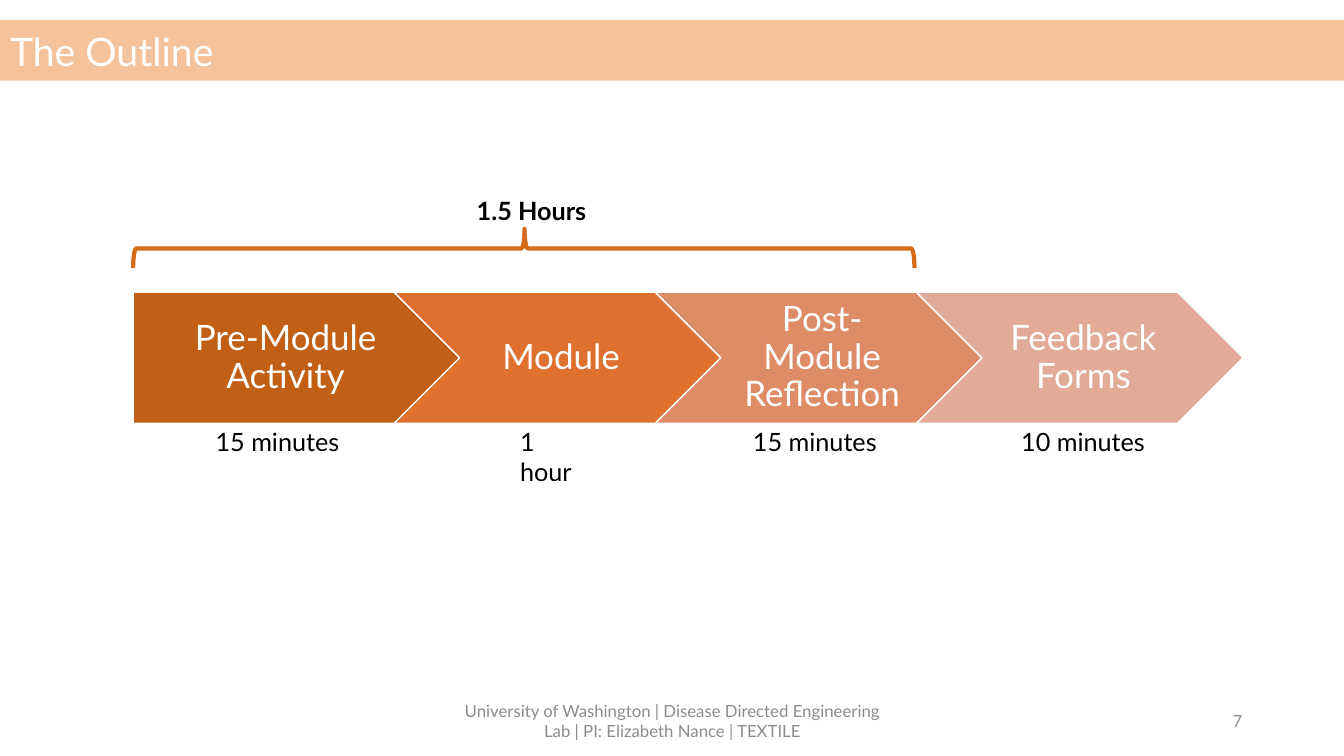
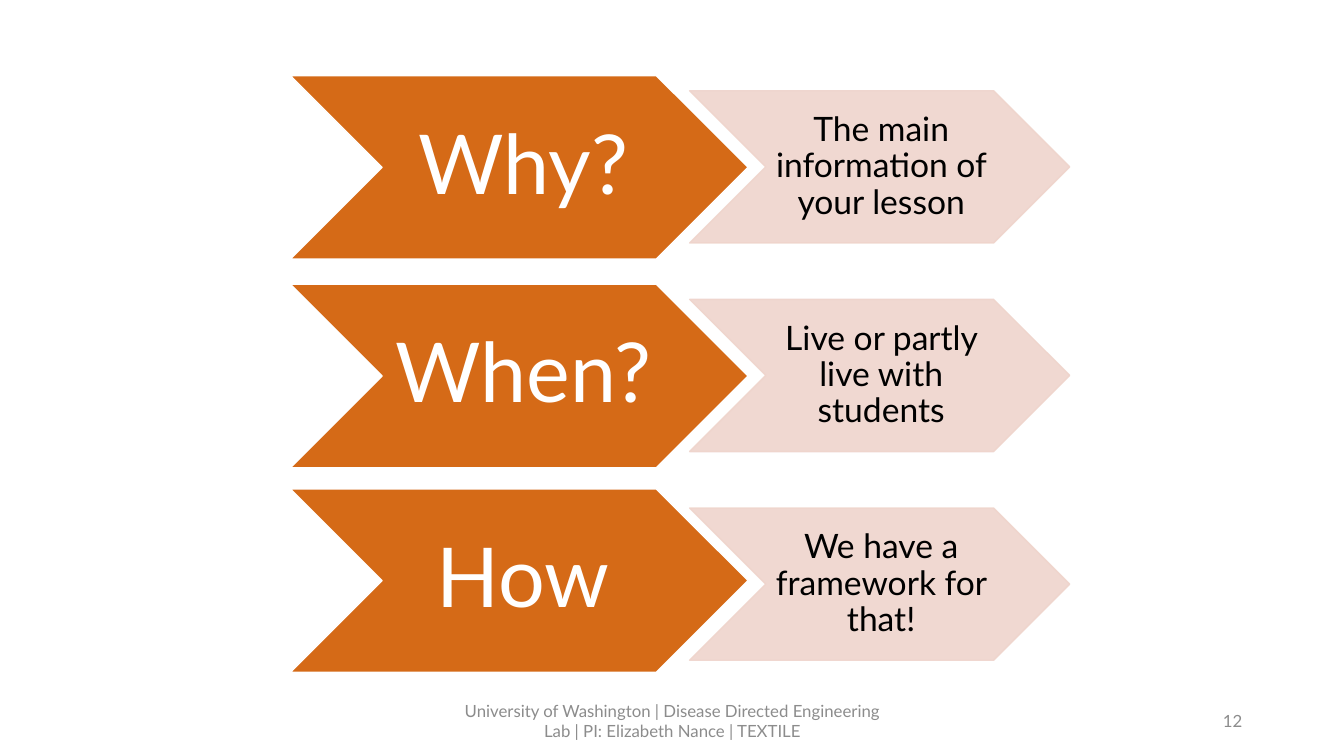
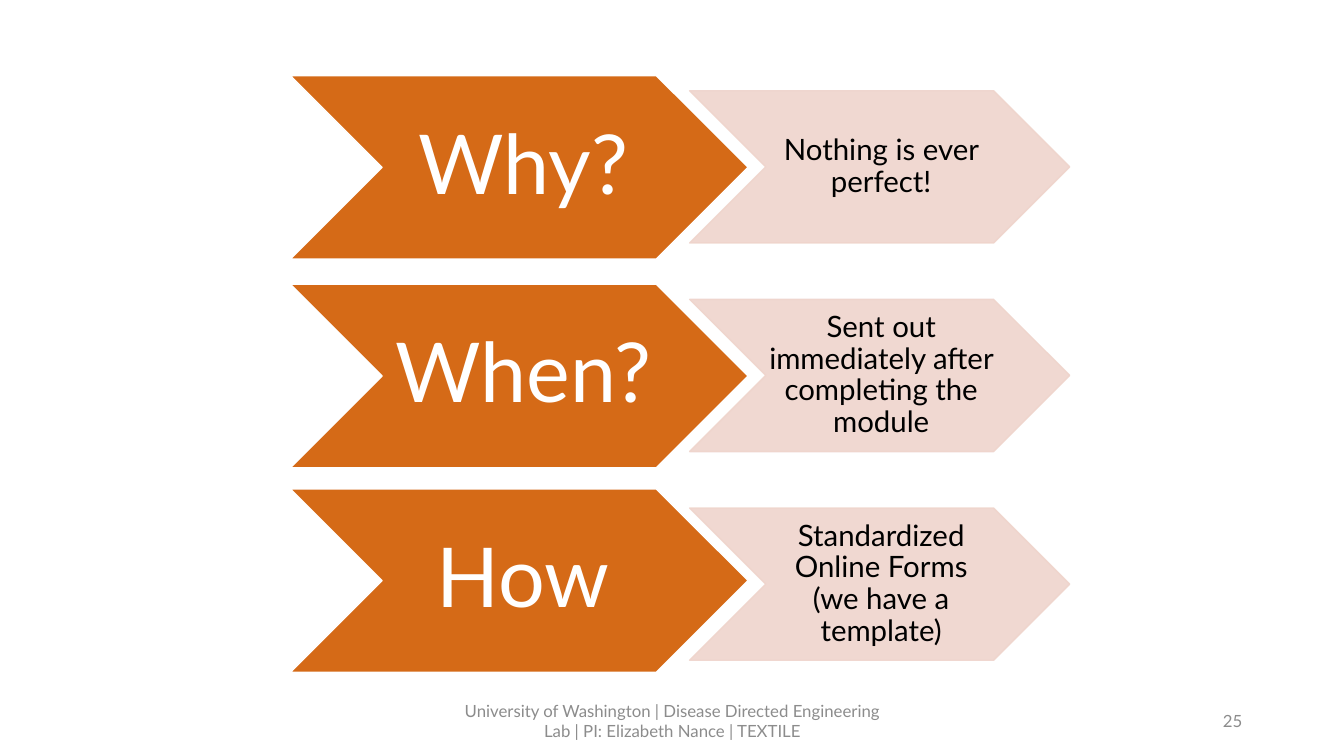
from lxml import etree
from pptx import Presentation
from pptx.dml.color import RGBColor
from pptx.enum.shapes import MSO_SHAPE
from pptx.enum.text import MSO_ANCHOR, MSO_AUTO_SIZE, PP_ALIGN
from pptx.oxml.ns import qn
from pptx.util import Inches, Pt

CHEVRON, PENTAGON, BRACE = MSO_SHAPE.CHEVRON, MSO_SHAPE.PENTAGON, MSO_SHAPE.RIGHT_BRACE
LEFT, CENTER, RIGHT = PP_ALIGN.LEFT, PP_ALIGN.CENTER, PP_ALIGN.RIGHT
TOP, MIDDLE = MSO_ANCHOR.TOP, MSO_ANCHOR.MIDDLE
FIXED_SIZE = MSO_AUTO_SIZE.NONE
TITLE_ONLY, BLANK = 5, 6

FONT = "Lato"
COLORS = {
    "white": "FFFFFF",
    "black": "000000",
    "gray": "8C8C8C",
    "band": "F4C39C",
    "orange": "D56A17",
    "blush": "EFD4CC",
    "step 1": "C16015",
    "step 2": "DE712F",
    "step 3": "DE8C66",
    "step 4": "E2AB98",
}
FOOTER = ("University of Washington | Disease Directed Engineering Lab"
          " | PI: Elizabeth Nance | TEXTILE")
DEFAULT_INSETS = (0.1, 0.05, 0.1, 0.05)


def color(name):
    """Return the named palette colour."""
    return RGBColor.from_string(COLORS[name])


class Deck:
    """Hold the shared style and the current slide."""

    def __init__(self):
        """Start a widescreen presentation."""
        self.presentation = Presentation()
        self.presentation.slide_width = Inches(13.33)
        self.presentation.slide_height = Inches(7.5)
        self.slide = None

    def add_slide(self, number, title=None):
        """Add a slide with its footer and, if given, a title band."""
        layout = self.presentation.slide_layouts[TITLE_ONLY if title else BLANK]
        self.slide = self.presentation.slides.add_slide(layout)
        if title:
            self.title_band(title)
        self.text(FOOTER, 4.42, 6.95, 4.5, 0.4, 12, "gray", CENTER, MIDDLE)
        self.text(str(number), 9.42, 6.95, 3, 0.4, 12, "gray", RIGHT, MIDDLE)

    def title_band(self, title):
        """Turn the title placeholder into a full-width band."""
        band = self.slide.shapes.title
        band.left, band.top = Inches(0), Inches(0.2)
        band.width, band.height = Inches(13.33), Inches(0.6)
        band.fill.solid()
        band.fill.fore_color.rgb = color("band")
        self.set_text(band, title, 28, "white", LEFT, MIDDLE)

    def set_text(self, shape, text, size, text_color, align, anchor,
                 insets=DEFAULT_INSETS, spacing=1.0, bold=False):
        """Fill a shape with one formatted paragraph."""
        frame = shape.text_frame
        frame.text = text
        frame.word_wrap = True
        frame.auto_size = FIXED_SIZE
        frame.vertical_anchor = anchor
        (frame.margin_left, frame.margin_top,
         frame.margin_right, frame.margin_bottom) = map(Inches, insets)
        paragraph = frame.paragraphs[0]
        paragraph.alignment = align
        paragraph.line_spacing = spacing
        paragraph.font.name = FONT
        paragraph.font.size = Pt(size)
        paragraph.font.bold = bold
        paragraph.font.color.rgb = color(text_color)

    def text(self, text, left, top, width, height, size, text_color="black",
             align=LEFT, anchor=TOP, bold=False):
        """Add a text box."""
        box = self.slide.shapes.add_textbox(*map(Inches, (left, top, width, height)))
        self.set_text(box, text, size, text_color, align, anchor, bold=bold)

    def arrow(self, kind, text, left, top, width, height, size, insets, fill,
              line="white", text_color="white", opacity=100):
        """Add a block arrow with centred text."""
        shape = self.slide.shapes.add_shape(kind, *map(Inches, (left, top, width, height)))
        shape.shadow.inherit = False
        shape.fill.solid()
        shape.fill.fore_color.rgb = color(fill)
        shape.line.color.rgb = color(line)
        shape.line.width = Pt(1)
        if opacity < 100:
            for paint in shape.element.spPr.iter(qn("a:srgbClr")):
                etree.SubElement(paint, qn("a:alpha"), val=str(opacity * 1000))
        self.set_text(shape, text, size, text_color, CENTER, MIDDLE, insets, spacing=0.9)

    def brace(self, left, top, width, height):
        """Add a horizontal brace that points up."""
        shift = (width - height) / 2
        shape = self.slide.shapes.add_shape(
            BRACE, *map(Inches, (left + shift, top - shift, height, width)))
        shape.rotation = 270
        shape.adjustments[0], shape.adjustments[1] = 0.083, 0.501
        shape.shadow.inherit = False
        shape.fill.background()
        shape.line.color.rgb = color("orange")
        shape.line.width = Pt(3)

    def questions(self, number, answers, size, inset):
        """Add a slide that pairs each question with its answer."""
        self.add_slide(number)
        rows = zip(("Why?", "When?", "How"), answers, (0.75, 2.82, 4.85))
        for index, (question, answer, top) in enumerate(rows):
            self.arrow(CHEVRON, question, 2.88, top, 4.54, 1.82, 59,
                       (0.08, 0.04, 0, 0.04), "orange")
            self.arrow(CHEVRON, answer, 6.84, 0.9 + 2.07 * index, 3.77, 1.51, size,
                       (0.03, inset, 0, inset), "blush", "blush", "black", 90)


deck = Deck()

deck.add_slide(7, "The Outline")
steps = [
    ("Pre-Module Activity", "15 minutes", 2.04, 1.44),
    ("Module", "1 hour", 5.06, 0.85),
    ("Post-Module Reflection", "15 minutes", 7.37, 1.44),
    ("Feedback Forms", "10 minutes", 10.03, 1.46),
]
for index, (step, duration, duration_left, duration_width) in enumerate(steps):
    deck.arrow(CHEVRON if index else PENTAGON, step, 1.32 + 2.59 * index, 2.9, 3.24, 1.3,
               25, (0.11 if index else 0.15, 0.07, 0.04, 0.07), f"step {index + 1}")
    deck.text(duration, duration_left, 4.18, duration_width, 0.4, 18)
deck.text("1.5 Hours", 4.63, 1.89, 1.33, 0.4, 18, bold=True)
deck.brace(1.32, 2.27, 7.75, 0.39)

deck.questions(12, ("The main information of your lesson",
                    "Live or partly live with students",
                    "We have a framework for that!"), 24, 0.02)
deck.questions(25, ("Nothing is ever perfect!",
                    "Sent out immediately after completing the module",
                    "Standardized Online Forms (we have a template)"), 21, 0.01)

deck.presentation.save("out.pptx")
